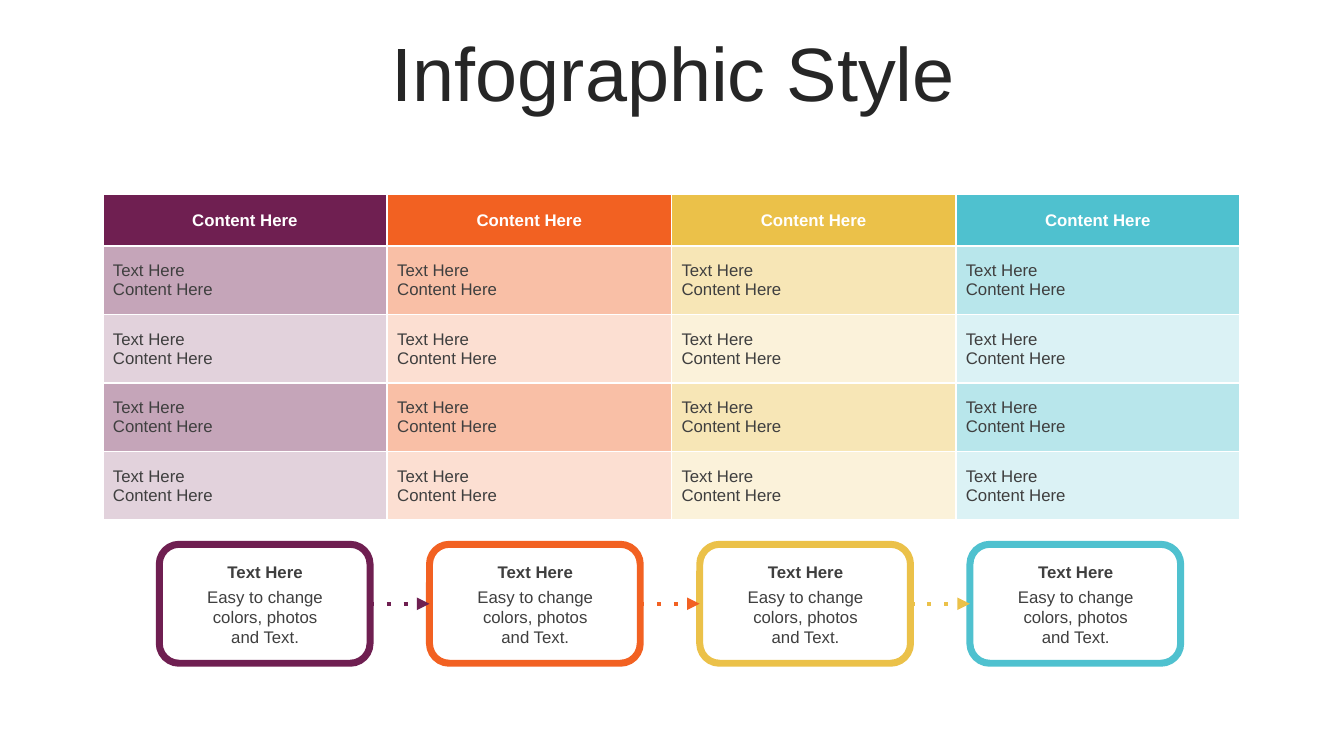
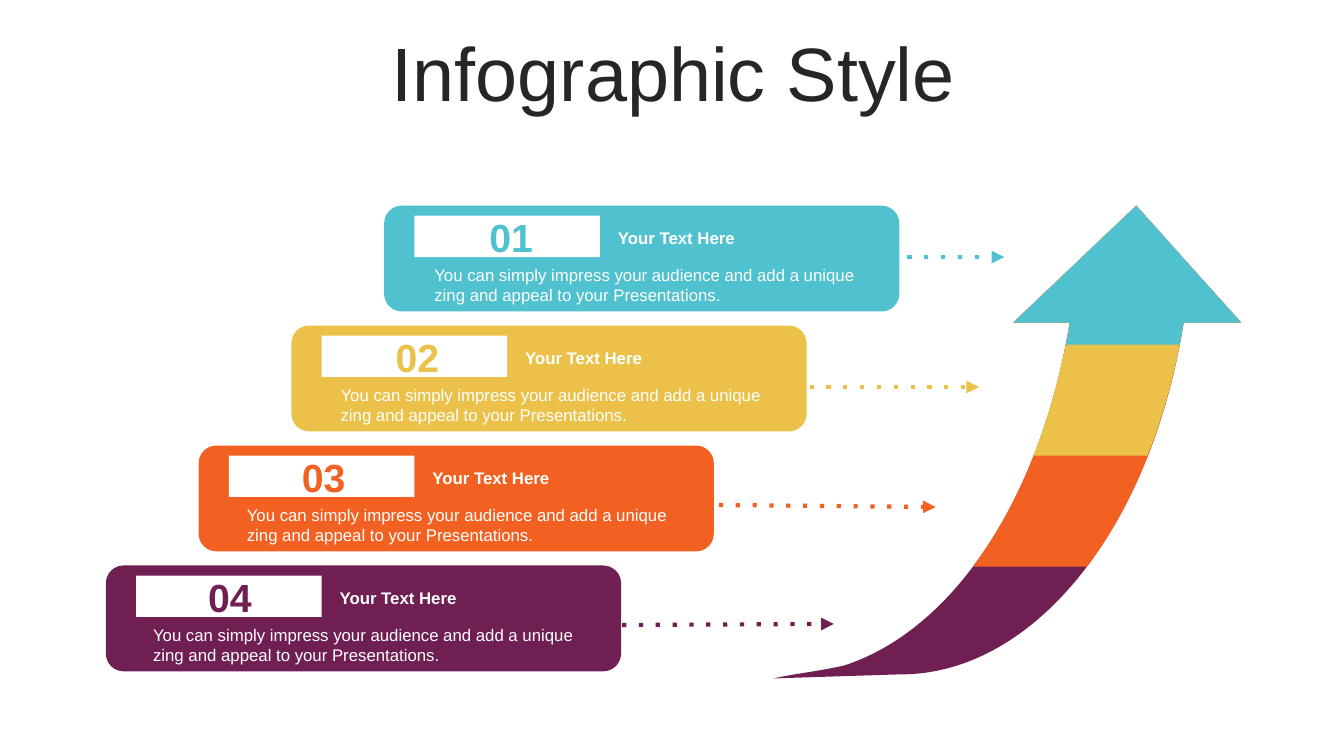
from dataclasses import dataclass

from lxml import etree
from pptx import Presentation
from pptx import util as u
from pptx.dml.color import RGBColor
from pptx.enum import shapes, text
from pptx.oxml.ns import qn

PX = 9144  # EMU per px, 100 px to the inch
CENTER = text.PP_ALIGN.CENTER
MIDDLE = text.MSO_ANCHOR.MIDDLE


@dataclass(frozen=True)
class Theme:
    font: str = "Arial"
    title: str = "262626"
    ink: str = "3F3F3F"
    white: str = "FFFFFF"
    accents: tuple = ("6F1F51", "F26122", "EBC149", "4FC1CF")
    title_size: int = 54
    number_size: int = 28
    text_size: int = 12


T = Theme()


def px(*values):
    return [u.Emu(v * PX) for v in values]


# Text
def write(tf, *lines, size=T.text_size, color=T.ink, bold=False, align=None, spacing=None):
    """Fill a text frame with one paragraph per line."""
    tf.word_wrap = True
    for i, line in enumerate(lines):
        p = tf.add_paragraph() if i else tf.paragraphs[0]
        p.alignment = align
        p.line_spacing = spacing
        r = p.add_run()
        r.text = line
        r.font.name = T.font
        r.font.size = u.Pt(size)
        r.font.bold = bold
        r.font.color.rgb = RGBColor.from_string(color)


def add_text(slide, box, *lines, **fmt):
    write(slide.shapes.add_textbox(*px(*box)).text_frame, *lines, **fmt)


def add_slide(prs, title):
    slide = prs.slides.add_slide(prs.slide_layouts[5])  # Title Only
    sp = slide.shapes.title
    sp.left, sp.top, sp.width, sp.height = px(35, 37, 1266, 79)
    tf = sp.text_frame
    tf.auto_size = text.MSO_AUTO_SIZE.NONE
    tf.vertical_anchor = MIDDLE
    write(tf, title, size=T.title_size, color=T.title, align=CENTER, spacing=0.9)
    return slide


# Shapes
def paint(sp, fill, line=None, width=0):
    sp.shadow.inherit = False
    sp.fill.solid()
    sp.fill.fore_color.rgb = RGBColor.from_string(fill)
    if line:
        sp.line.color.rgb = RGBColor.from_string(line)
        sp.line.width = u.Pt(width)
    else:
        sp.line.fill.background()


def add_box(slide, box, fill, rounded=False, **outline):
    kind = shapes.MSO_SHAPE.ROUNDED_RECTANGLE if rounded else shapes.MSO_SHAPE.RECTANGLE
    paint(slide.shapes.add_shape(kind, *px(*box)), fill, **outline)


def add_arrow(slide, ends, color):
    """Dotted line with a triangle at its end."""
    c = slide.shapes.add_connector(shapes.MSO_CONNECTOR.STRAIGHT, *px(*ends))
    c.line.color.rgb = RGBColor.from_string(color)
    c.line.width = u.Pt(3)
    sp_pr = c._element.spPr
    ln = sp_pr.find(qn("a:ln"))
    etree.SubElement(ln, qn("a:prstDash"), val="dot")
    etree.SubElement(ln, qn("a:tailEnd"), type="triangle")
    etree.SubElement(sp_pr, qn("a:effectLst"))


# Table
def style_cell(cell, color, alpha=100):
    """White borders and a fill of the given opacity in percent."""
    cell.vertical_anchor = MIDDLE
    tc_pr = cell._tc.get_or_add_tcPr()
    for side in ("lnL", "lnR", "lnT", "lnB"):
        ln = etree.SubElement(tc_pr, qn(f"a:{side}"), w=str(u.Pt(1.5)))
        fill = etree.SubElement(ln, qn("a:solidFill"))
        etree.SubElement(fill, qn("a:srgbClr"), val=T.white)
    cell.fill.solid()
    cell.fill.fore_color.rgb = RGBColor.from_string(color)
    if alpha < 100:
        clr = tc_pr.find(qn("a:solidFill")).find(qn("a:srgbClr"))
        etree.SubElement(clr, qn("a:alpha"), val=str(alpha * 1000))


def add_content_table(slide):
    heights = [51, 68, 68, 68, 68]
    opacity = [100, 40, 20, 40, 20]
    col_width = 282
    cols = len(T.accents)
    frame = slide.shapes.add_table(
        len(heights), cols, *px(102, 193, col_width * cols, sum(heights)))
    table = frame.table
    table.horz_banding = False
    for col in table.columns:
        col.width = px(col_width)[0]
    for i, (height, alpha) in enumerate(zip(heights, opacity)):
        table.rows[i].height = px(height)[0]
        for j, color in enumerate(T.accents):
            cell = table.cell(i, j)
            style_cell(cell, color, alpha)
            if i == 0:
                write(cell.text_frame, "Content Here", color=T.white, bold=True, align=CENTER)
            else:
                write(cell.text_frame, "Text Here", "Content Here")


# Process cards below the table
def add_cards(slide):
    left, top, width, height, step = 158, 540, 209, 118, 268
    for i, color in enumerate(T.accents):
        x = left + i * step
        add_box(slide, (x, top, width, height), T.white, rounded=True, line=color, width=5)
        add_text(slide, (x + 30, top + 37, 150, 71),
                 "Easy to change colors, photos and Text.", align=CENTER)
        add_text(slide, (x + 30, top + 12, 150, 30), "Text Here", bold=True, align=CENTER)
    for i, color in enumerate(T.accents[:-1]):
        x, y = left + i * step, top + height // 2
        add_arrow(slide, (x + width, y, x + step, y), color)


# Stair of numbered bars
def add_bar(slide, i, color):
    x, y = 381 - 92 * i, 204 + 119 * i
    text_x = 382 - 93 * i
    add_box(slide, (x, y, 511, 105), color, rounded=True)
    add_box(slide, (x + 30, y + 10, 184, 41), T.white)
    add_text(slide, (text_x + 83, y + 3, 84, 57), f"{i + 1:02}",
             size=T.number_size, color=color, bold=True, align=CENTER)
    add_text(slide, (x + 222, y + 17, 169, 30), "Your Text Here", color=T.white, bold=True)
    add_text(slide, (text_x + 39, y + 54, 444, 50),
             "You can simply impress your audience and add a unique "
             "zing and appeal to your Presentations.", color=T.white)


# Curved arrow in coloured bands
def add_outline(slide, start, segments, color):
    """Closed outline: a segment has one point for a line, three for a curve."""
    points = [px(*point) for segment in segments for point in segment]
    builder = slide.shapes.build_freeform(*px(*start), scale=1.0)
    builder.add_line_segments(points, close=True)
    sp = builder.convert_to_shape()
    lines = list(sp._element.iter(qn("a:lnTo")))
    for segment in segments:
        parts, lines = lines[:len(segment)], lines[len(segment):]
        if len(segment) == 3:
            curve = etree.Element(qn("a:cubicBezTo"))
            parts[0].addprevious(curve)
            for part in parts:
                curve.append(part[0])
                part.getparent().remove(part)
    paint(sp, color)


def add_curved_arrow(slide):
    tip, right, left = (1127, 204), (1231, 320), (1005, 320)
    outer, inner = (1174, 320), (1061, 320)
    # Each band ends at the inner edge and covers part of the one before it
    bands = [
        [[(1140, 530), (1022, 670), (892, 669)], [(767, 673)],
         [(790, 668), (812, 666), (838, 660)], [(947, 624), (1033, 492), inner]],
        [[(1158, 419), (1124, 502), (1078, 562)], [(965, 562)],
         [(1011, 501), (1045, 417), inner]],
        [[(1166, 368), (1154, 412), (1138, 452)], [(1025, 452)],
         [(1041, 412), (1053, 368), inner]],
        [[(1170, 342)], [(1057, 342)], [(1059, 335), (1060, 328), inner]],
    ]
    for color, band in zip(T.accents, bands):
        add_outline(slide, tip, [[right], [outer], *band, [left]], color)


def main():
    prs = Presentation()
    prs.slide_width, prs.slide_height = px(1333, 750)
    title = "Infographic Style"

    # Slide 1: table and process
    slide = add_slide(prs, title)
    add_content_table(slide)
    add_cards(slide)

    # Slide 2: stair and curved arrow
    slide = add_slide(prs, title)
    arrows = [(900, 255, 996, 255), (803, 384, 971, 384),
              (713, 501, 928, 503), (617, 620, 827, 619)]
    add_curved_arrow(slide)
    for i, (color, ends) in enumerate(zip(reversed(T.accents), arrows)):
        add_bar(slide, i, color)
        add_arrow(slide, ends, color)

    prs.save("out.pptx")


if __name__ == "__main__":
    main()
